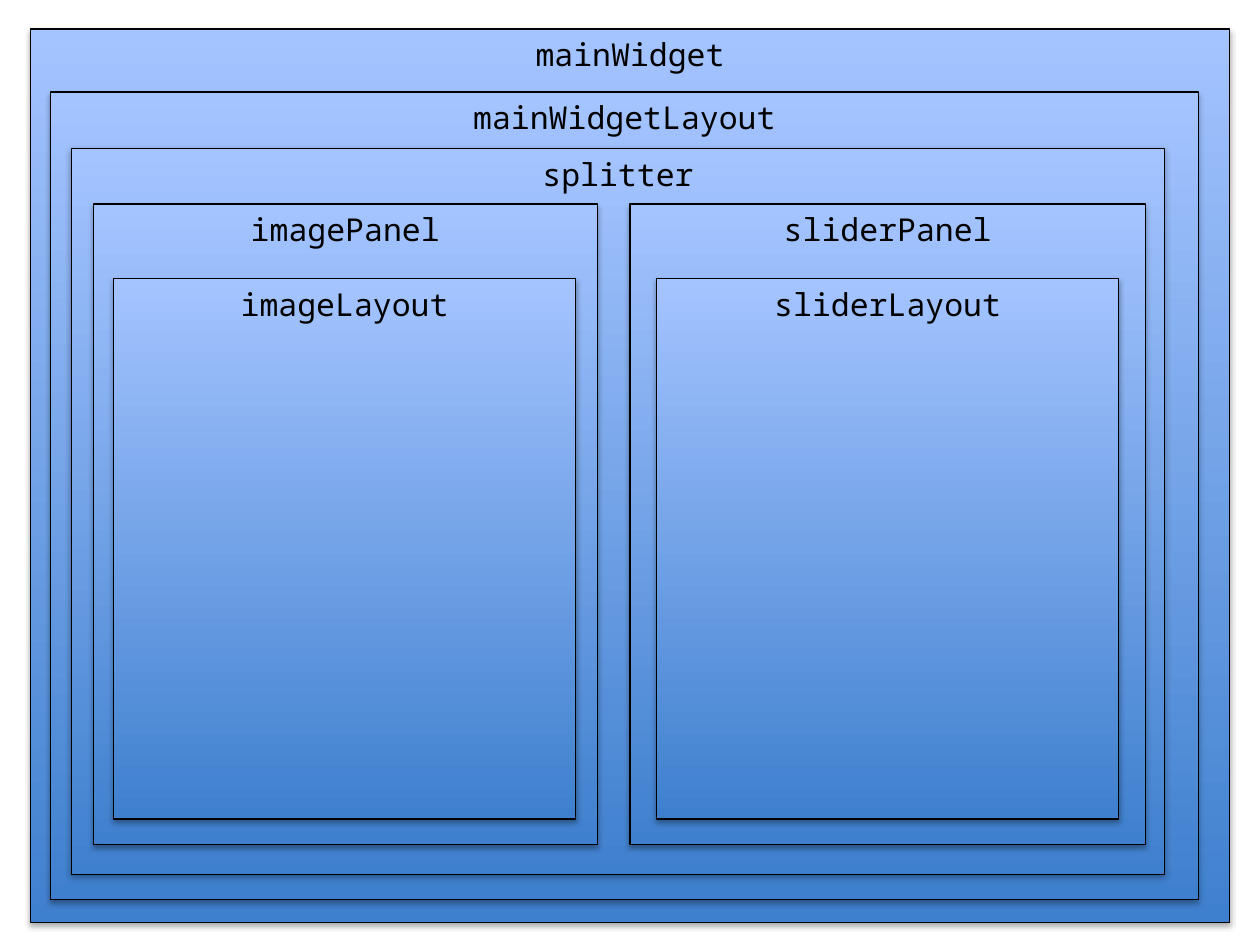
import pptx
import pptx.util
import pptx.dml.color
import pptx.enum.shapes
import pptx.enum.text
import pptx.oxml
import pptx.oxml.ns

Inches = pptx.util.Inches
Pt = pptx.util.Pt

COLORS = {"top": "A4C4FF", "base": "3F80CE", "ink": "000000"}
FONT = {"name": "Noto Sans Mono", "size": Pt(18)}
FRAME = {"word_wrap": True, "vertical_anchor": pptx.enum.text.MSO_ANCHOR.TOP}

BOXES = [
    ("mainWidget", 0.24, 0.23, 9.52, 7.09),
    ("mainWidgetLayout", 0.4, 0.73, 9.11, 6.41),
    ("splitter", 0.57, 1.18, 8.67, 5.76),
    ("imagePanel", 0.74, 1.62, 4, 5.08),
    ("sliderPanel", 5, 1.62, 4.09, 5.08),
    ("imageLayout", 0.9, 2.21, 3.67, 4.29),
    ("sliderLayout", 5.21, 2.21, 3.67, 4.29),
]

SHADOW = (
    f'<a:outerShdw {pptx.oxml.ns.nsdecls("a")} blurRad="{Pt(3.1)}" '
    f'dist="{Pt(1.8)}" dir="5400000" rotWithShape="0">'
    f'<a:srgbClr val="{COLORS["ink"]}"><a:alpha val="35000"/></a:srgbClr>'
    "</a:outerShdw>"
)


def color(key):
    return pptx.dml.color.RGBColor.from_string(COLORS[key])


def apply(target, values):
    for key, value in values.items():
        setattr(target, key, value)


def add_box(slide, label, *place):
    box = slide.shapes.add_shape(
        pptx.enum.shapes.MSO_SHAPE.RECTANGLE, *map(Inches, place))
    box.fill.gradient()
    box.fill.gradient_angle = 90
    for stop, key in zip(box.fill.gradient_stops, ("base", "top")):
        stop.color.rgb = color(key)
    box.line.color.rgb = color("ink")
    box.line.width = Pt(0.75)
    box.shadow.inherit = False
    effects = box._element.spPr.find(pptx.oxml.ns.qn("a:effectLst"))
    effects.append(pptx.oxml.parse_xml(SHADOW))
    apply(box.text_frame, FRAME)
    para = box.text_frame.paragraphs[0]
    para.alignment = pptx.enum.text.PP_ALIGN.CENTER
    run = para.add_run()
    run.text = label
    apply(run.font, FONT)
    run.font.color.rgb = color("ink")


deck = pptx.Presentation()
apply(deck, {"slide_width": Inches(10), "slide_height": Inches(7.5)})
slide = deck.slides.add_slide(deck.slide_layouts[6])
for box in BOXES:
    add_box(slide, *box)
deck.save("out.pptx")
